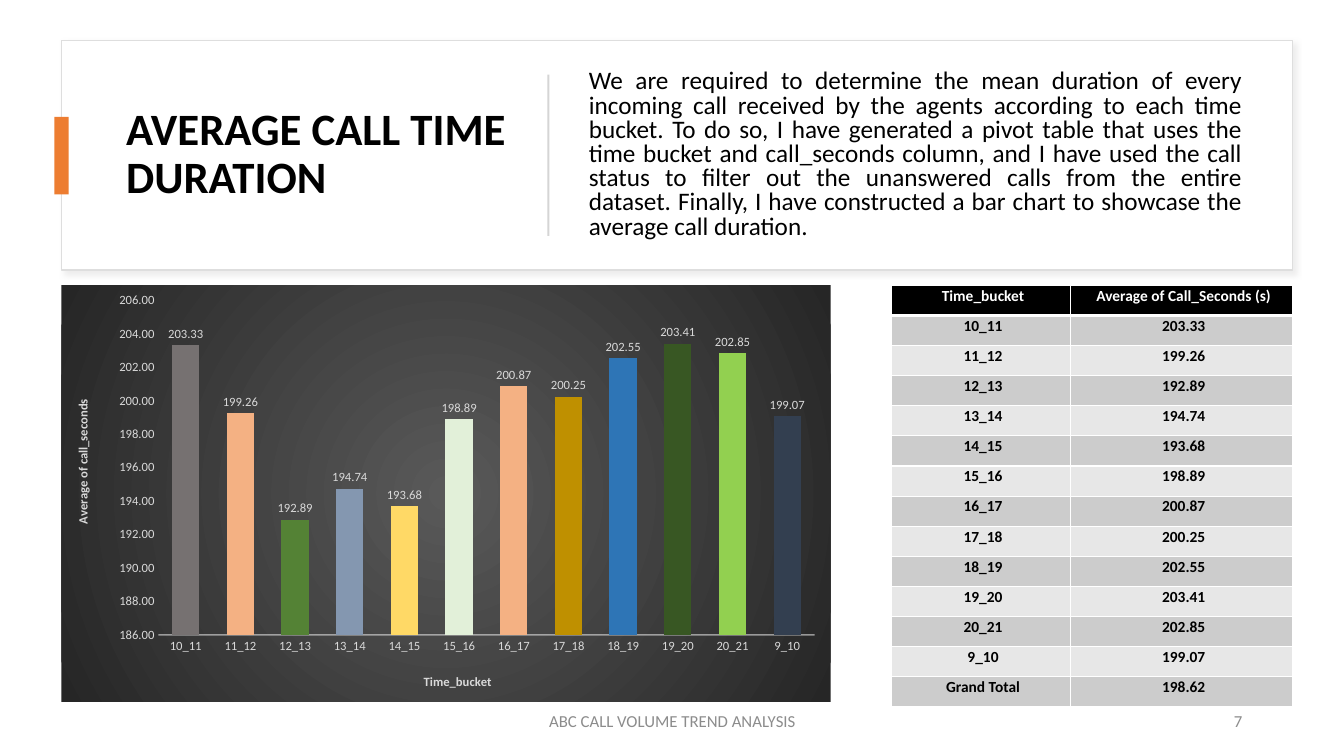
import pptx
import pptx.chart.data
import pptx.dml.color
import pptx.enum.chart
import pptx.enum.shapes
import pptx.enum.text
import pptx.oxml
import pptx.oxml.ns
import pptx.util
from pptx.util import Inches

FONT = "Calibri"
ALIGN = pptx.enum.text.PP_ALIGN
MIDDLE = pptx.enum.text.MSO_ANCHOR.MIDDLE
qn = pptx.oxml.ns.qn
A_NS = 'xmlns:a="http://schemas.openxmlformats.org/drawingml/2006/main"'
C_NS = 'xmlns:c="http://schemas.openxmlformats.org/drawingml/2006/chart"'


def rgb(color):
    return pptx.dml.color.RGBColor.from_string(color)


def style(font, size, color, bold=False):
    font.name = FONT
    font.size = pptx.util.Pt(size)
    font.color.rgb = rgb(color)
    font.bold = bold


presentation = pptx.Presentation()
presentation.slide_width = Inches(13.33)
presentation.slide_height = Inches(7.5)
slide = presentation.slides.add_slide(presentation.slide_layouts[1])

# Header card, accent and divider, placed behind the placeholders
header_parts = []
for depth, (left, top, width, height, color) in enumerate([
    (0.61, 0.4, 12.21, 2.28, "FFFFFF"),
    (0.54, 1.16, 0.14, 0.77, "ED7D31"),
    (5.43, 0.74, 0.02, 1.6, "D5D5D5"),
]):
    part = slide.shapes.add_shape(
        pptx.enum.shapes.MSO_SHAPE.RECTANGLE,
        Inches(left), Inches(top), Inches(width), Inches(height))
    part.shadow.inherit = False
    part.fill.solid()
    part.fill.fore_color.rgb = rgb(color)
    part.line.fill.background()
    slide.shapes.element.insert(2 + depth, part.element)
    header_parts.append(part)

card = header_parts[0]
card.line.color.rgb = rgb("DEDEDE")
card.line.width = pptx.util.Pt(1)
card.element.spPr.find(qn("a:effectLst")).append(pptx.oxml.parse_xml(
    f'<a:outerShdw {A_NS} blurRad="50800" dist="38100" dir="2700000">'
    '<a:srgbClr val="C5C3C3"><a:alpha val="30000"/></a:srgbClr></a:outerShdw>'))

# Title and explanation
heading = slide.shapes.title
explanation = slide.placeholders[1]
heading.text_frame.text = "AVERAGE CALL TIME DURATION"
explanation.text_frame.text = (
    "We are required to determine the mean duration of every incoming call "
    "received by the agents according to each time bucket. To do so, I have "
    "generated a pivot table that uses the time bucket and call_seconds column, "
    "and I have used the call status to filter out the unanswered calls from the "
    "entire dataset. Finally, I have constructed a bar chart to showcase the "
    "average call duration.")
for holder, left, width, align, spacing, size, bold in [
    (heading, 1.15, 4, ALIGN.LEFT, 0.9, 32, True),
    (explanation, 5.74, 6.68, ALIGN.JUSTIFY, 0.8, 18, False),
]:
    holder.left, holder.top = Inches(left), Inches(0.64)
    holder.width, holder.height = Inches(width), Inches(1.8)
    holder.text_frame.auto_size = pptx.enum.text.MSO_AUTO_SIZE.NONE
    holder.text_frame.word_wrap = True
    holder.text_frame.vertical_anchor = MIDDLE
    paragraph = holder.text_frame.paragraphs[0]
    paragraph.alignment = align
    paragraph.line_spacing = spacing
    paragraph.space_before = pptx.util.Pt(0)
    paragraph.space_after = pptx.util.Pt(6)
    properties = paragraph._p.get_or_add_pPr()
    properties.set("marL", "0")
    properties.set("indent", "0")
    properties.append(pptx.oxml.parse_xml(f"<a:buNone {A_NS}/>"))
    style(paragraph.font, size, "000000", bold)

# Average call seconds and bar colour per time bucket
buckets = [
    ("10_11", 203.33, "767171"), ("11_12", 199.26, "F4B183"),
    ("12_13", 192.89, "548235"), ("13_14", 194.74, "8497B0"),
    ("14_15", 193.68, "FFD966"), ("15_16", 198.89, "E2F0D9"),
    ("16_17", 200.87, "F4B183"), ("17_18", 200.25, "BF9000"),
    ("18_19", 202.55, "2E75B6"), ("19_20", 203.41, "385723"),
    ("20_21", 202.85, "92D050"), ("9_10", 199.07, "333F50"),
]

# Table
rows = [("Time_bucket", "Average of Call_Seconds (s)")]
rows += [(bucket, f"{seconds:.2f}") for bucket, seconds, _ in buckets]
rows.append(("Grand Total", "198.62"))
averages = slide.shapes.add_table(
    len(rows), 2, Inches(8.84), Inches(2.83), Inches(3.98), Inches(3.39)).table
averages.columns[0].width = Inches(1.78)
averages.columns[1].width = Inches(2.2)
for r, row in enumerate(rows):
    averages.rows[r].height = Inches(0.24 if r else 0.27)
    for c, text in enumerate(row):
        cell = averages.cell(r, c)
        cell.text = text
        cell.vertical_anchor = MIDDLE
        cell.margin_left, cell.margin_right = Inches(0.05), Inches(0.01)
        cell.margin_top, cell.margin_bottom = Inches(0.01), Inches(0.1)
        cell.fill.solid()
        cell.fill.fore_color.rgb = rgb(
            "000000" if r == 0 else "CCCCCC" if r % 2 else "E7E7E7")
        if r == 0:
            cell._tc.get_or_add_tcPr().insert(0, pptx.oxml.parse_xml(
                f'<a:lnB {A_NS} w="38100"><a:solidFill><a:srgbClr val="FFFFFF"/>'
                '</a:solidFill></a:lnB>'))
        paragraph = cell.text_frame.paragraphs[0]
        paragraph.alignment = ALIGN.CENTER
        style(paragraph.font, 11, "000000" if r else "FFFFFF", True)

# Bar chart
call_data = pptx.chart.data.CategoryChartData(number_format="0.00")
call_data.categories = [bucket for bucket, _, _ in buckets]
call_data.add_series("Series 1", [seconds for _, seconds, _ in buckets])
chart = slide.shapes.add_chart(
    pptx.enum.chart.XL_CHART_TYPE.COLUMN_CLUSTERED,
    Inches(0.61), Inches(2.83), Inches(7.63), Inches(4.13), call_data).chart
chart.has_legend = False
chart.has_title = False
style(chart.font, 10, "000000")
chart.element.find(qn("c:chart")).addnext(pptx.oxml.parse_xml(
    f'<c:spPr {C_NS} {A_NS}><a:gradFill><a:gsLst>'
    '<a:gs pos="0"><a:srgbClr val="595959"/></a:gs>'
    '<a:gs pos="100000"><a:srgbClr val="262626"/></a:gs></a:gsLst>'
    '<a:path path="circle"><a:fillToRect l="50000" t="50000" r="50000" b="50000"/>'
    '</a:path></a:gradFill><a:ln><a:noFill/></a:ln></c:spPr>'))

bars = chart.plots[0]
bars.gap_width = 100
bars.overlap = -24
bars.vary_by_categories = False
for i, (_, _, color) in enumerate(buckets):
    bar_fill = bars.series[0].points[i].format.fill
    bar_fill.solid()
    bar_fill.fore_color.rgb = rgb(color)
bars.has_data_labels = True
labels = bars.data_labels
labels.show_value = True
labels.position = pptx.enum.chart.XL_LABEL_POSITION.OUTSIDE_END
labels.number_format, labels.number_format_is_linked = "0.00", False
style(labels.font, 9, "D9D9D9")

# Axes
bucket_axis, seconds_axis = chart.category_axis, chart.value_axis
for axis, name in [(bucket_axis, "Time_bucket"),
                   (seconds_axis, "Average of call_seconds")]:
    axis.has_major_gridlines = False
    axis.major_tick_mark = pptx.enum.chart.XL_TICK_MARK.NONE
    style(axis.tick_labels.font, 9, "D9D9D9")
    axis.axis_title.text_frame.text = name
    style(axis.axis_title.text_frame.paragraphs[0].font, 9, "D9D9D9", True)
seconds_axis.axis_title.text_frame._txBody.find(qn("a:bodyPr")).set("rot", "-5400000")
seconds_axis.minimum_scale, seconds_axis.maximum_scale = 186, 206
seconds_axis.major_unit = 2
seconds_axis.tick_labels.number_format = "0.00"
seconds_axis.tick_labels.number_format_is_linked = False
seconds_axis.format.line.fill.background()
bucket_line = bucket_axis.format.line
bucket_line.width = pptx.util.Pt(1)
bucket_line.color.rgb = rgb("F2F2F2")
bucket_axis._element.find(".//" + qn("a:ln")).find(".//" + qn("a:srgbClr")).append(
    pptx.oxml.parse_xml(f'<a:alpha {A_NS} val="54000"/>'))

# Places of the plot area and the axis titles, as shares of the chart
plot_area = chart.element.find(".//" + qn("c:plotArea"))
for part, index, target, places in [
    (plot_area, 0, '<c:layoutTarget val="inner"/>',
     {"x": 0.126, "y": 0.037, "w": 0.853, "h": 0.803}),
    (bucket_axis.axis_title._element, 1, "", {"x": 0.468, "y": 0.928}),
    (seconds_axis.axis_title._element, 1, "", {"x": 0.014, "y": 0.268}),
]:
    for layout in part.findall(qn("c:layout")):
        part.remove(layout)
    modes = "".join(f'<c:{key}Mode val="edge"/>' for key in "xy")
    shares = "".join(f'<c:{key} val="{share}"/>' for key, share in places.items())
    part.insert(index, pptx.oxml.parse_xml(
        f"<c:layout {C_NS}><c:manualLayout>{target}{modes}{shares}"
        "</c:manualLayout></c:layout>"))

# Footer and slide number
for text, left, width, align in [
    ("ABC CALL VOLUME TREND ANALYSIS", 4.42, 4.5, ALIGN.CENTER),
    ("7", 9.42, 3, ALIGN.RIGHT),
]:
    footer = slide.shapes.add_textbox(
        Inches(left), Inches(6.95), Inches(width), Inches(0.4)).text_frame
    footer.word_wrap = True
    footer.vertical_anchor = MIDDLE
    footer.text = text
    footer.paragraphs[0].alignment = align
    style(footer.paragraphs[0].font, 12, "8C8C8C")

presentation.save("out.pptx")
